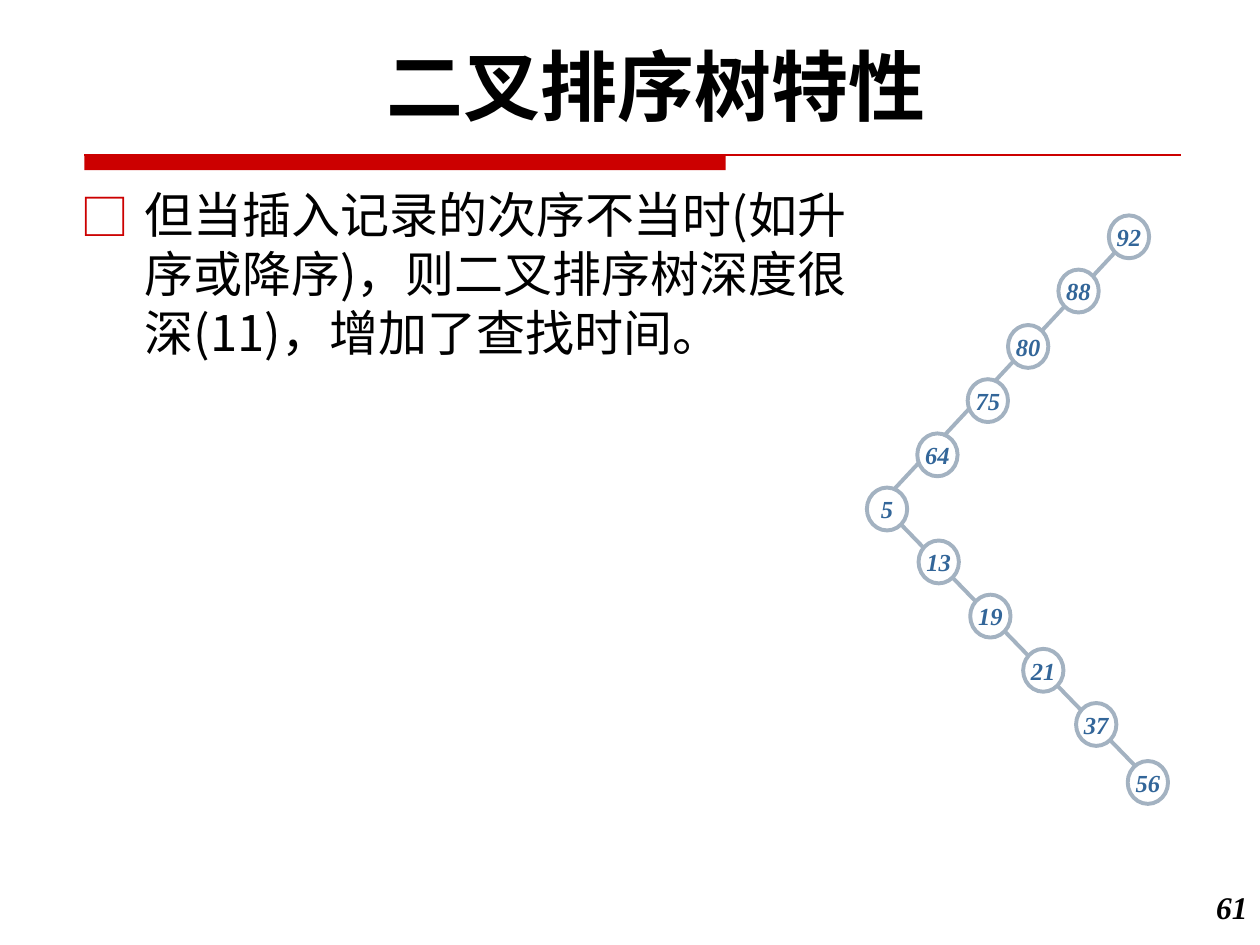
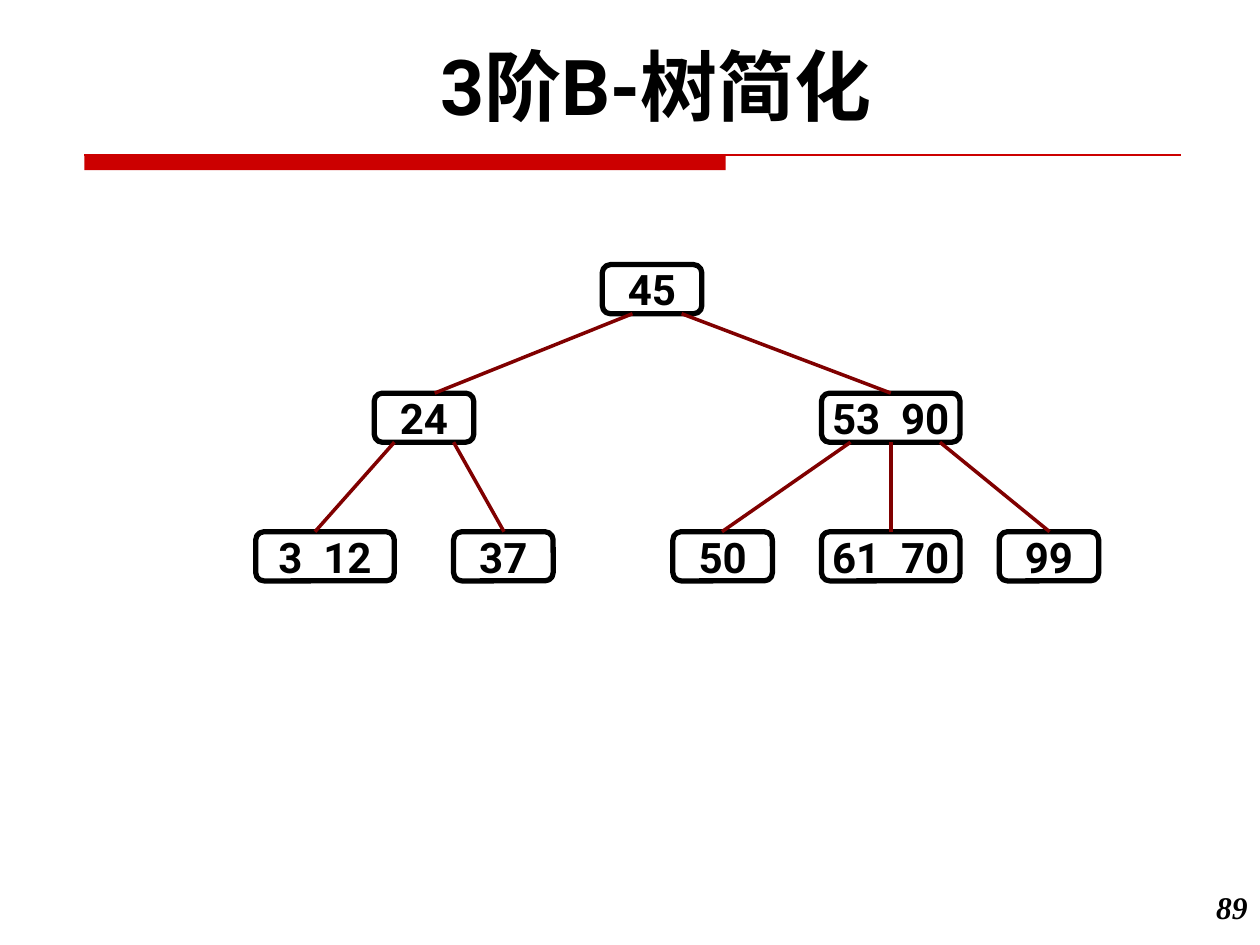
from typing import NamedTuple, Optional

import pptx
import pptx.dml.color
import pptx.enum.shapes
import pptx.enum.text
import pptx.oxml.ns
import pptx.util
from lxml import etree
from pptx.dml.color import RGBColor
from pptx.util import Inches

ALIGN = pptx.enum.text.PP_ALIGN
ANCHOR = pptx.enum.text.MSO_ANCHOR
SHAPE = pptx.enum.shapes.MSO_SHAPE
qn = pptx.oxml.ns.qn

BLACK = RGBColor(0x00, 0x00, 0x00)
WHITE = RGBColor(0xFF, 0xFF, 0xFF)
RED = RGBColor(0xCC, 0x00, 0x00)
EDGE_RED = RGBColor(0x80, 0x00, 0x00)
RING = RGBColor(0xA3, 0xB2, 0xC1)
KEY_BLUE = RGBColor(0x33, 0x66, 0x99)

CJK = "Noto Sans CJK SC"
SANS = "Roboto"
SERIF = "Times New Roman"


class Box(NamedTuple):
    left: float
    top: float
    width: float
    height: float

    def lengths(self) -> list:
        return [Inches(v) for v in self]


class Key(NamedTuple):
    text: str
    left: float
    top: float


class BNode(NamedTuple):
    text: str
    left: float
    level: int


class Edge(NamedTuple):
    level: int
    parent_x: float
    child_x: float


TITLE_BOX = Box(0.58, 0.21, 9.25, 0.84)
NUMBER_BOX = Box(9.33, 7, 0.67, 0.5)
BODY_BOX = Box(0.54, 1.42, 6.65, 1.57)
BAND = Box(0.67, 1.23, 5.09, 0.12)
RULE_RIGHT = 9.37

CIRCLE_WIDTH, CIRCLE_HEIGHT = 0.32, 0.34
CHAIN_LINES = [((8.88, 1.97), (6.95, 4.04)), ((7.12, 4.13), (9.03, 6.1))]
KEYS = [
    Key("92", 8.8, 1.71), Key("88", 8.4, 2.14), Key("80", 8, 2.58),
    Key("75", 7.68, 3.01), Key("64", 7.28, 3.44), Key("5", 6.88, 3.87),
    Key("13", 7.29, 4.29), Key("19", 7.7, 4.72), Key("21", 8.12, 5.15),
    Key("37", 8.54, 5.58), Key("56", 8.95, 6.04),
]

LEVEL_TOPS = [2.1, 3.12, 4.22]
NODE_HEIGHT = 0.39
NODE_WIDTHS = {1: 0.79, 2: 1.1}  # by number of keys
B_NODES = [
    BNode("45", 4.78, 0),
    BNode("24", 2.97, 1), BNode("53  90", 6.52, 1),
    BNode("3  12", 2.03, 2), BNode("37", 3.6, 2), BNode("50", 5.34, 2),
    BNode("61  70", 6.52, 2), BNode("99", 7.93, 2),
]
B_EDGES = [
    Edge(0, 5.02, 3.45), Edge(0, 5.41, 7.07),
    Edge(1, 3.13, 2.5), Edge(1, 3.6, 4),
    Edge(1, 6.75, 5.73), Edge(1, 7.07, 7.07), Edge(1, 7.46, 8.33),
]


def add_bullet(p, char: str, color: RGBColor, indent: float) -> None:
    pPr = p._p.get_or_add_pPr()
    pPr.set("marL", str(Inches(indent)))
    pPr.set("indent", str(-Inches(indent)))
    clr = etree.SubElement(pPr, qn("a:buClr"))
    etree.SubElement(clr, qn("a:srgbClr"), val=str(color))
    etree.SubElement(pPr, qn("a:buFont"), typeface=CJK)
    etree.SubElement(pPr, qn("a:buChar"), char=char)


def write(s, text: str, *, size: float, font: str, color: RGBColor = BLACK,
          bold: bool = False, italic: bool = False, align=ALIGN.CENTER,
          anchor=ANCHOR.TOP, wrap: bool = True,
          line_height: Optional[float] = None,
          bullet: Optional[str] = None) -> None:
    tf = s.text_frame
    tf.auto_size = pptx.enum.text.MSO_AUTO_SIZE.NONE
    tf.word_wrap = wrap
    tf.vertical_anchor = anchor
    p = tf.paragraphs[0]
    if bullet:
        add_bullet(p, bullet, RED, 0.51)
    p.alignment = align
    if line_height:
        p.line_spacing = pptx.util.Pt(line_height)
    r = p.add_run()
    r.text = text
    r.font.size = pptx.util.Pt(size)
    r.font.bold = bold
    r.font.italic = italic
    r.font.color.rgb = color
    r.font.name = font
    etree.SubElement(r._r.get_or_add_rPr(), qn("a:ea"), typeface=CJK)


def add_line(slide, start: tuple, end: tuple, color: RGBColor,
             width: float) -> None:
    line = slide.shapes.add_connector(
        pptx.enum.shapes.MSO_CONNECTOR.STRAIGHT,
        *(Inches(v) for v in (*start, *end)))
    line.line.color.rgb = color
    line.line.width = pptx.util.Pt(width)
    etree.SubElement(line._element.spPr, qn("a:effectLst"))


def add_shape(slide, kind, box: Box, *, fill: Optional[RGBColor] = None,
              line: Optional[RGBColor] = None, width: float = 1):
    sp = slide.shapes.add_shape(kind, *box.lengths())
    sp.shadow.inherit = False
    if fill is None:
        sp.fill.background()
    else:
        sp.fill.solid()
        sp.fill.fore_color.rgb = fill
    if line is None:
        sp.line.fill.background()
    else:
        sp.line.color.rgb = line
        sp.line.width = pptx.util.Pt(width)
    return sp


def add_slide(prs, title: str, number: int):
    """Add a slide with its title, red band and slide number."""
    slide = prs.slides.add_slide(prs.slide_layouts[5])
    s = slide.shapes.title
    s.left, s.top, s.width, s.height = TITLE_BOX.lengths()
    write(s, title, size=44, font=SANS, bold=True, line_height=56)
    add_shape(slide, SHAPE.RECTANGLE, BAND, fill=RED)
    add_line(slide, (BAND.left, BAND.top), (RULE_RIGHT, BAND.top), RED, 0.75)
    write(slide.shapes.add_textbox(*NUMBER_BOX.lengths()), str(number),
          size=18, font=SERIF, bold=True, italic=True, align=ALIGN.RIGHT)
    return slide


def build_search_tree(prs) -> None:
    slide = add_slide(prs, "二叉排序树特性", 61)
    write(slide.shapes.add_textbox(*BODY_BOX.lengths()),
          "但当插入记录的次序不当时(如升序或降序)，则二叉排序树深度很深(11)，增加了查找时间。",
          size=28, font=CJK, align=ALIGN.LEFT, line_height=33.5, bullet="□")
    for start, end in CHAIN_LINES:
        add_line(slide, start, end, RING, 2.25)
    for key in KEYS:
        box = Box(key.left, key.top, CIRCLE_WIDTH, CIRCLE_HEIGHT)
        sp = add_shape(slide, SHAPE.OVAL, box, fill=WHITE, line=RING, width=2.25)
        write(sp, key.text, size=14, font=SERIF, color=KEY_BLUE, bold=True,
              italic=True, anchor=ANCHOR.MIDDLE, wrap=False)


def build_b_tree(prs) -> None:
    slide = add_slide(prs, "3阶B-树简化", 89)
    for node in B_NODES:
        box = Box(node.left, LEVEL_TOPS[node.level],
                  NODE_WIDTHS[len(node.text.split())], NODE_HEIGHT)
        sp = add_shape(slide, SHAPE.ROUNDED_RECTANGLE, box, line=BLACK, width=3)
        write(sp, node.text, size=24, font=SANS, bold=True,
              anchor=ANCHOR.MIDDLE, wrap=False)
    for edge in B_EDGES:
        add_line(slide, (edge.parent_x, LEVEL_TOPS[edge.level] + NODE_HEIGHT),
                 (edge.child_x, LEVEL_TOPS[edge.level + 1]), EDGE_RED, 2)


def main() -> None:
    prs = pptx.Presentation()
    prs.slide_width, prs.slide_height = Inches(10), Inches(7.5)
    build_search_tree(prs)
    build_b_tree(prs)
    prs.save("out.pptx")


if __name__ == "__main__":
    main()
